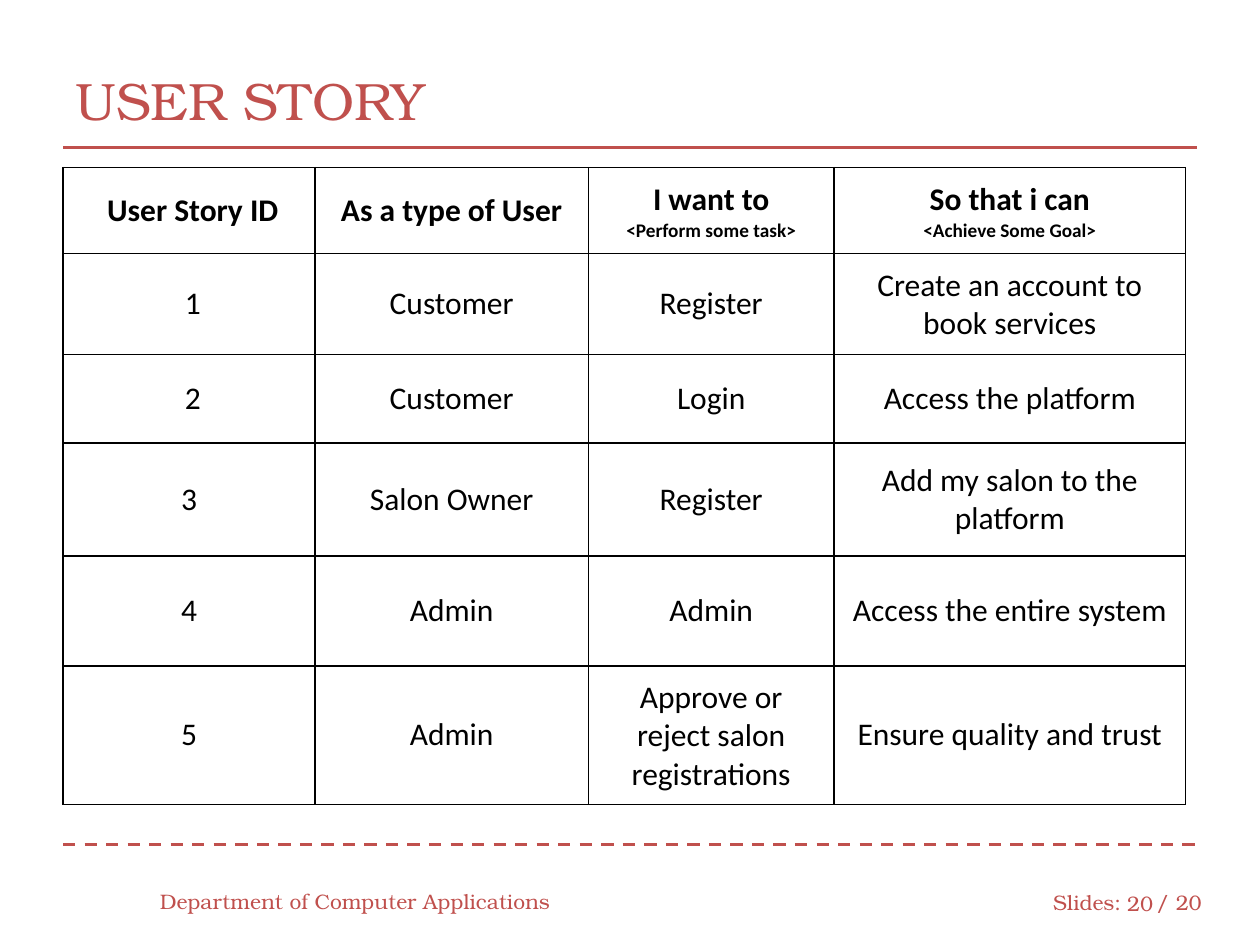
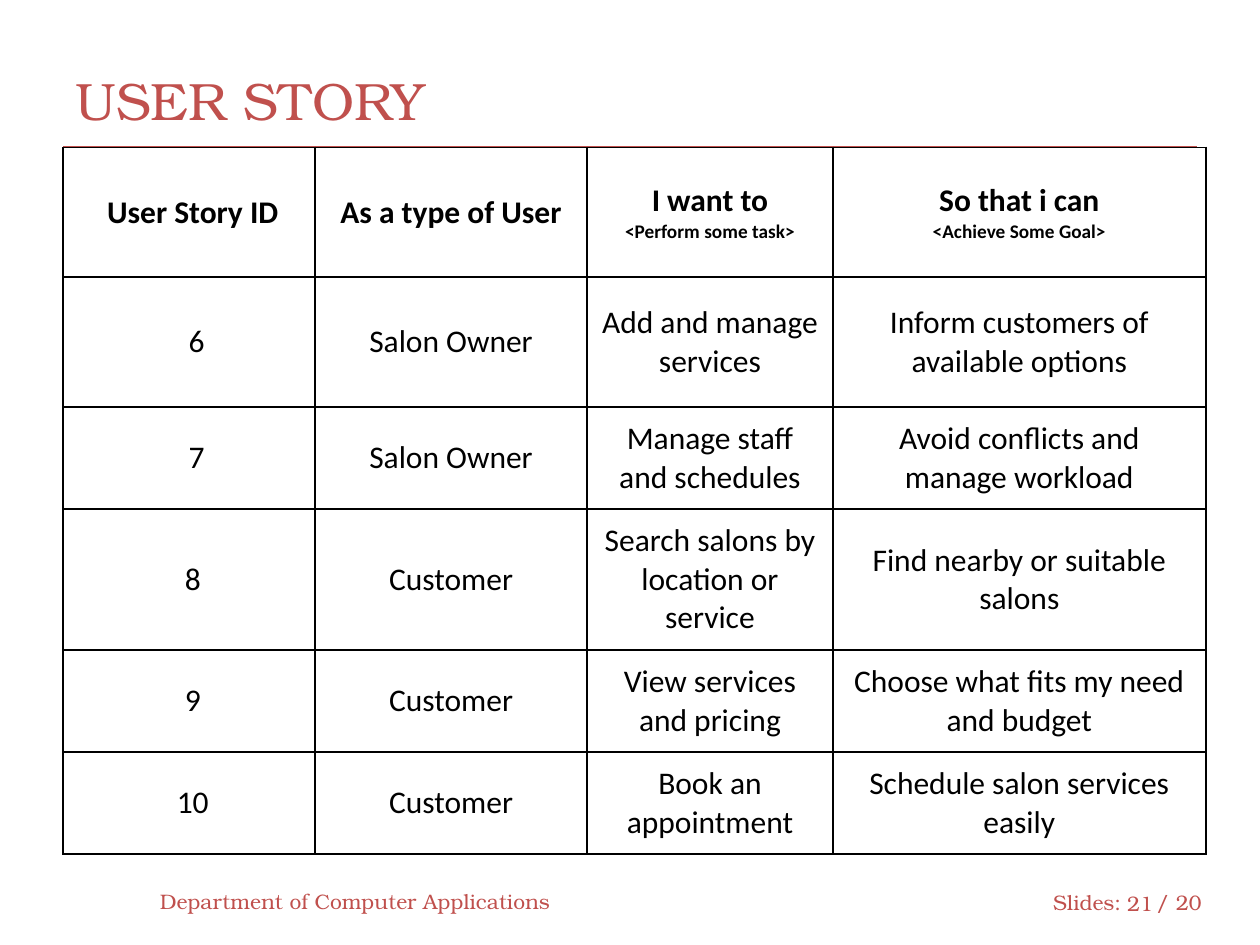
from lxml import etree
from pptx import Presentation
from pptx import util as u
from pptx.dml.color import RGBColor
from pptx.enum import dml, shapes, text
from pptx.oxml.ns import qn

COLORS = {"accent": "C0504D", "ink": "000000", "paper": "FFFFFF"}
FONTS = {"theme": "TeX Gyre Bonum", "table": "Calibri"}
WIDTH, HEIGHT = 10, 7.5
MARGIN = WIDTH / 20
SPACE = 0.06
TOTAL = 20
LEFT, CENTER, RIGHT = text.PP_ALIGN.LEFT, text.PP_ALIGN.CENTER, text.PP_ALIGN.RIGHT

HEADER = ("User Story ID", "As a type of User",
          "I want to\n<Perform some task>", "So that i can\n<Achieve Some Goal>")
RULES = [(1.17, None), (6.7, dml.MSO_LINE.DASH)]
LABELS = [
    ("USER STORY", (MARGIN, 0.33, WIDTH - 2 * MARGIN, 0.92), 30, LEFT),
    ("Department of Computer Applications", (1.17, 6.95, 3.33, 0.4), 12, LEFT),
    ("Slides:", (8.26, 6.96, 0.75, 0.4), 12, LEFT),
    ("{number}", (8.83, 6.97, 0.42, 0.4), 12, RIGHT),
    ("/ {total}", (9.08, 6.96, 0.58, 0.4), 12, LEFT),
]
SLIDES = [
    {
        "number": 20, "top": 1.33,
        "cols": (2, 2.17, 1.95, 2.79),
        "rows": (0.68, 0.79, 0.7, 0.9, 0.87, 1.09),
        "id_shift": (1, 1, 1, 0, 0, 0),
        "stories": [
            ("1", "Customer", "Register", "Create an account to book services"),
            ("2", "Customer", "Login", "Access the platform"),
            ("3", "Salon Owner", "Register", "Add my salon to the platform"),
            ("4", "Admin", "Admin", "Access the entire system"),
            ("5", "Admin", "Approve or reject salon registrations",
             "Ensure quality and trust"),
        ],
    },
    {
        "number": 21, "top": 1.17,
        "cols": (2, 2.16, 1.95, 2.96),
        "rows": (1.03, 1.03, 0.81, 1.12, 0.81, 0.81),
        "id_shift": (1, 2, 2, 1, 1, 1),
        "stories": [
            ("6", "Salon Owner", "Add and manage services",
             "Inform customers of available options"),
            ("7", "Salon Owner", "Manage staff and schedules",
             "Avoid conflicts and manage workload"),
            ("8", "Customer", "Search salons by location or service",
             "Find nearby or suitable salons"),
            ("9", "Customer", "View services and pricing",
             "Choose what fits my need and budget"),
            ("10", "Customer", "Book an appointment", "Schedule salon services easily"),
        ],
    },
]


def assign(obj, values):
    for name, value in values.items():
        setattr(obj, name, value)


def rgb(name):
    return RGBColor.from_string(COLORS[name])


def write(tf, content, size, font, color, align, bold=False, sub_size=None):
    assign(tf, {"word_wrap": True, "vertical_anchor": text.MSO_ANCHOR.MIDDLE})
    for i, line in enumerate(content.split("\n")):
        p = tf.add_paragraph() if i else tf.paragraphs[0]
        p.alignment = align
        r = p.add_run()
        r.text = line
        assign(r.font, {"size": u.Pt(sub_size if i else size), "name": FONTS[font], "bold": bold})
        r.font.color.rgb = rgb(color)


def add_label(s, content, box, size, align):
    tf = s.shapes.add_textbox(*map(u.Inches, box)).text_frame
    write(tf, content, size, "theme", "accent", align)


def add_rule(s, y, dash):
    sp = s.shapes.add_connector(shapes.MSO_CONNECTOR.STRAIGHT, u.Inches(MARGIN), u.Inches(y),
                                u.Inches(WIDTH - MARGIN), u.Inches(y))
    sp.line.color.rgb = rgb("accent")
    assign(sp.line, {"width": u.Pt(1.75), "dash_style": dash})
    etree.SubElement(sp._element.spPr, qn("a:effectLst"))


def add_borders(cell):
    tc_pr = cell._tc.get_or_add_tcPr()
    for i, side in enumerate("LRTB"):
        ln = etree.Element(qn(f"a:ln{side}"), w=str(u.Pt(1)))
        fill = etree.SubElement(ln, qn("a:solidFill"))
        etree.SubElement(fill, qn("a:srgbClr"), val=COLORS["ink"])
        tc_pr.insert(i, ln)


def add_stories(s, data):
    cols, rows = data["cols"], data["rows"]
    box = (MARGIN, data["top"], sum(cols), sum(rows))
    table = s.shapes.add_table(len(rows), len(cols), *map(u.Inches, box)).table
    assign(table, {"first_row": False, "horz_banding": False})
    for col, width in zip(table.columns, cols):
        col.width = u.Inches(width)
    for row, height in zip(table.rows, rows):
        row.height = u.Inches(height)
    for i, values in enumerate([HEADER] + data["stories"]):
        for j, value in enumerate(values):
            cell = table.cell(i, j)
            shift = 0 if j else data["id_shift"][i] * SPACE
            for side in ("left", "right", "top", "bottom"):
                extra = shift if side == "left" else 0
                setattr(cell, f"margin_{side}", u.Inches(0.1 + extra))
            cell.vertical_anchor = text.MSO_ANCHOR.MIDDLE
            cell.fill.solid()
            cell.fill.fore_color.rgb = rgb("paper")
            add_borders(cell)
            write(cell.text_frame, value, 18, "table", "ink", CENTER, i == 0, 11)


def main():
    prs = Presentation()
    assign(prs, {"slide_width": u.Inches(WIDTH), "slide_height": u.Inches(HEIGHT)})
    for data in SLIDES:
        s = prs.slides.add_slide(prs.slide_layouts[6])
        for y, dash in RULES:
            add_rule(s, y, dash)
        for content, box, size, align in LABELS:
            add_label(s, content.format(number=data["number"], total=TOTAL), box, size, align)
        add_stories(s, data)
    prs.save("out.pptx")


if __name__ == "__main__":
    main()
